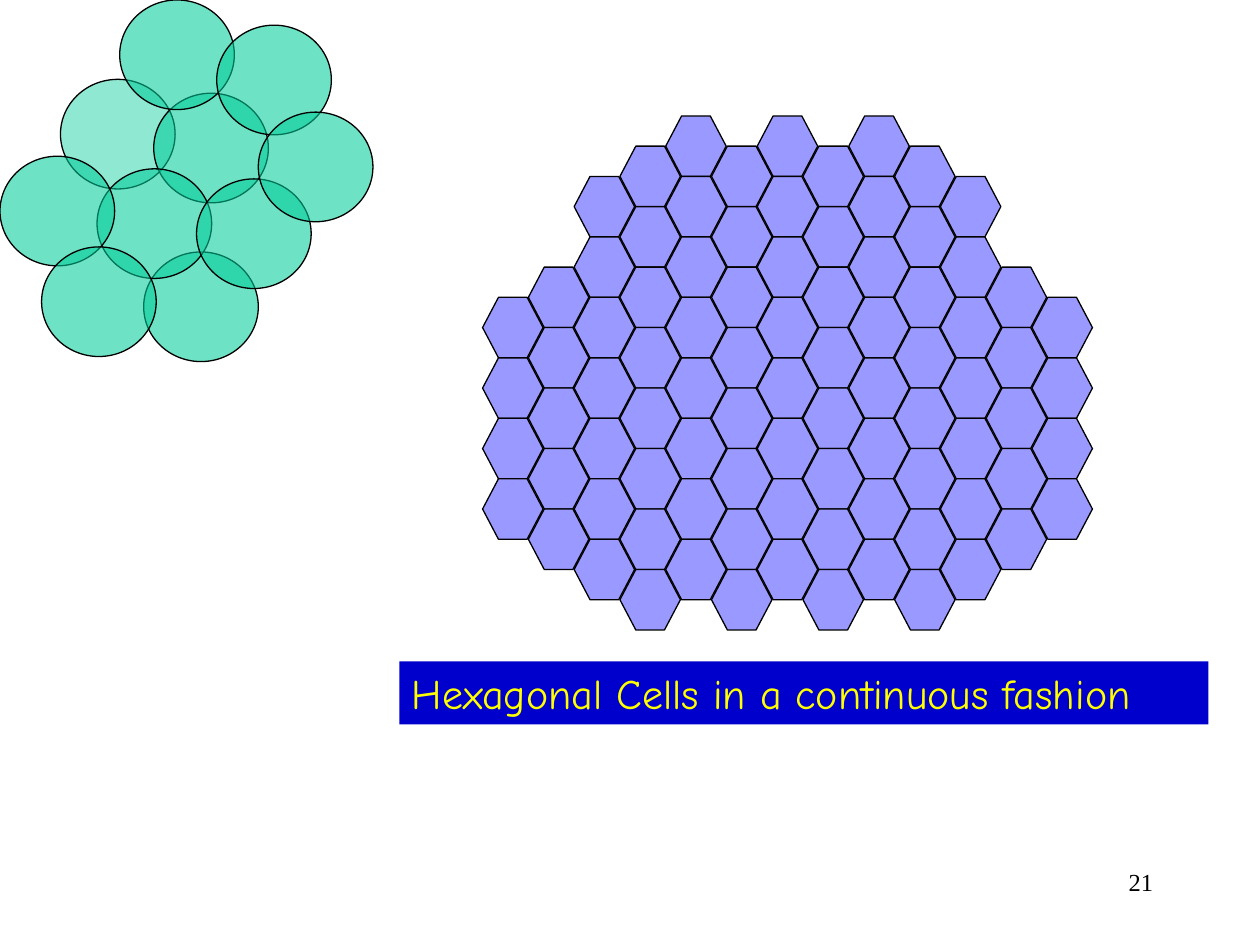
from lxml import etree
from pptx import Presentation
from pptx.dml.color import RGBColor
from pptx.enum.shapes import MSO_SHAPE
from pptx.enum.text import MSO_ANCHOR, PP_ALIGN
from pptx.oxml.ns import qn
from pptx.util import Inches, Pt

HEX, OVAL, RECT = MSO_SHAPE.HEXAGON, MSO_SHAPE.OVAL, MSO_SHAPE.RECTANGLE
LEFT, RIGHT, TOP = PP_ALIGN.LEFT, PP_ALIGN.RIGHT, MSO_ANCHOR.TOP
BLACK = RGBColor(0x00, 0x00, 0x00)
LILAC = RGBColor(0x99, 0x99, 0xFF)
GREEN = RGBColor(0x00, 0xCC, 0x99)
BLUE = RGBColor(0x00, 0x00, 0xCC)
YELLOW = RGBColor(0xFF, 0xFF, 0x00)

CELL = 0.48
COL_STEP = 4.36 / 12
HALF_ROW = 0.24
GRID_LEFT, GRID_TOP = 3.83, 0.92
COLUMNS = [(6, 4), (5, 5), (2, 7), (1, 8), (0, 8), (1, 8), (0, 8),
           (1, 8), (0, 8), (1, 8), (2, 7), (5, 5), (6, 4)]
CIRCLES = [(1.14, 2.0, 57), (0.48, 0.63, 44), (1.22, 0.74, 57),
           (0.77, 1.34, 57), (1.56, 1.42, 57), (0, 1.24, 57),
           (0.33, 1.96, 57), (0.95, 0, 57), (1.72, 0.2, 57),
           (2.05, 0.89, 57)]


class Painter:
    line_width = Pt(0.75)

    def __init__(self, slide):
        self.slide = slide

    def group(self):
        return self.slide.shapes.add_group_shape().shapes

    def shape(self, home, kind, box, fill, line=None):
        item = home.add_shape(kind, *map(Inches, box))
        item.shadow.inherit = False
        item.fill.solid()
        item.fill.fore_color.rgb = fill
        if line is None:
            item.line.fill.background()
        else:
            item.line.color.rgb = line
            item.line.width = self.line_width
        return item

    def cell(self, home, left, top):
        item = self.shape(home, HEX, (left, top, CELL, CELL), LILAC, BLACK)
        item.adjustments[0] = 0.263

    def circle(self, home, left, top, alpha):
        item = self.shape(home, OVAL, (left, top, 0.91, 0.87), GREEN, BLACK)
        color = item.element.spPr.find(qn("a:solidFill"))[0]
        etree.SubElement(color, qn("a:alpha"), val=str(alpha * 1000))

    def label(self, item, text, align, color, style):
        frame = item.text_frame
        frame.word_wrap = True
        frame.vertical_anchor = TOP
        para = frame.paragraphs[0]
        para.alignment = align
        run = para.add_run()
        run.text = text
        run.font.color.rgb = color
        for name, value in style.items():
            setattr(run.font, name, value)

    def banner(self, box, text):
        item = self.shape(self.slide.shapes, RECT, box, BLUE)
        self.label(item, text, LEFT, YELLOW,
                   {"name": "Comic Neue", "size": Pt(24)})

    def number(self, box, text):
        item = self.slide.shapes.add_textbox(*map(Inches, box))
        self.label(item, text, RIGHT, BLACK,
                   {"name": "Times New Roman", "size": Pt(14)})


def main():
    deck = Presentation()
    deck.slide_width, deck.slide_height = Inches(10), Inches(7.5)
    paint = Painter(deck.slides.add_slide(deck.slide_layouts[6]))

    paint.number((7.17, 6.83, 2.08, 0.5), "21")

    cells = paint.group()
    for col, (start, count) in enumerate(COLUMNS):
        for row in range(count):
            paint.cell(cells, GRID_LEFT + col * COL_STEP,
                       GRID_TOP + (start + 2 * row) * HALF_ROW)

    paint.banner((3.17, 5.25, 6.42, 0.5),
                 "Hexagonal Cells in a continuous fashion")

    circles = paint.group()
    for left, top, alpha in CIRCLES:
        paint.circle(circles, left, top, alpha)

    deck.save("out.pptx")


if __name__ == "__main__":
    main()
